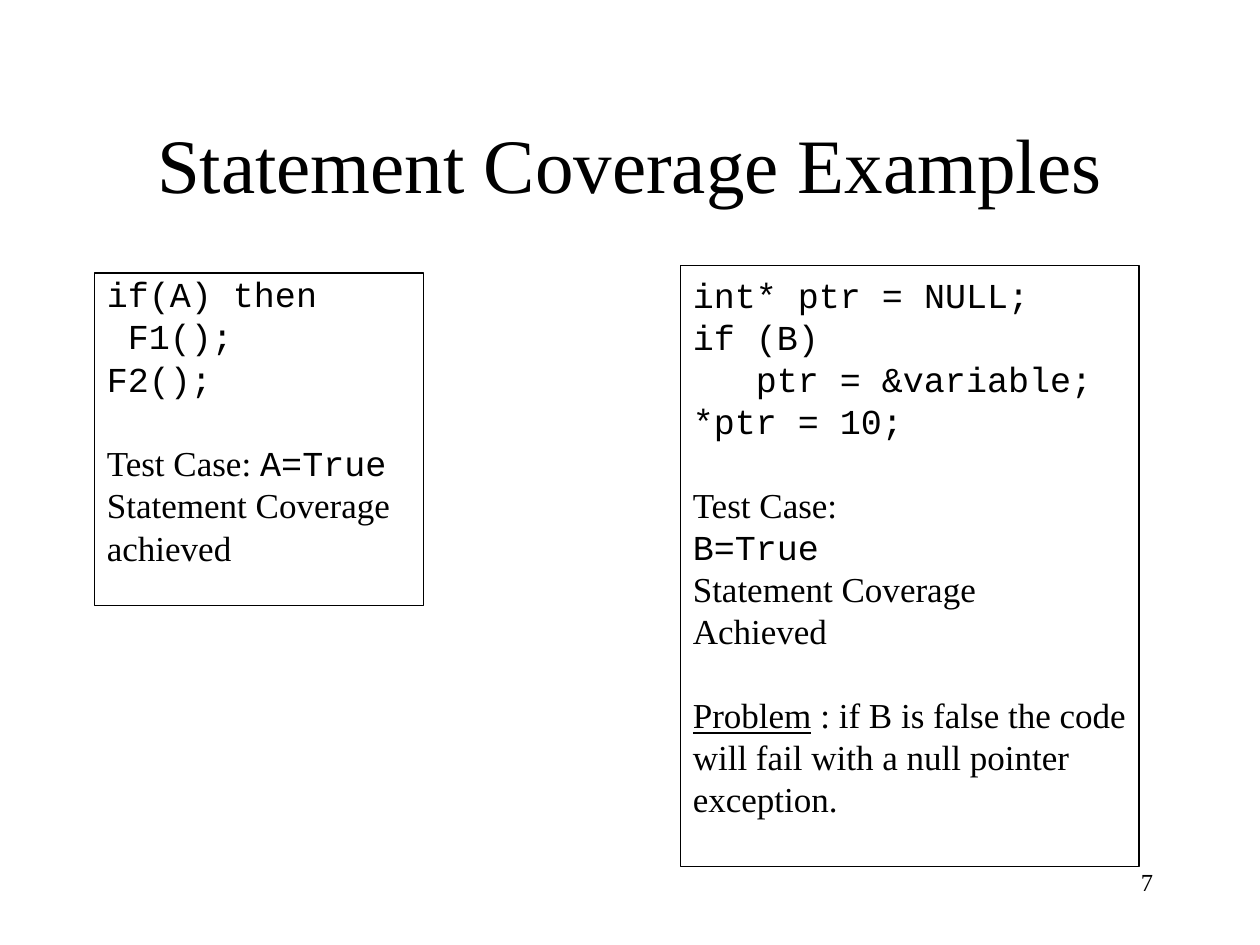
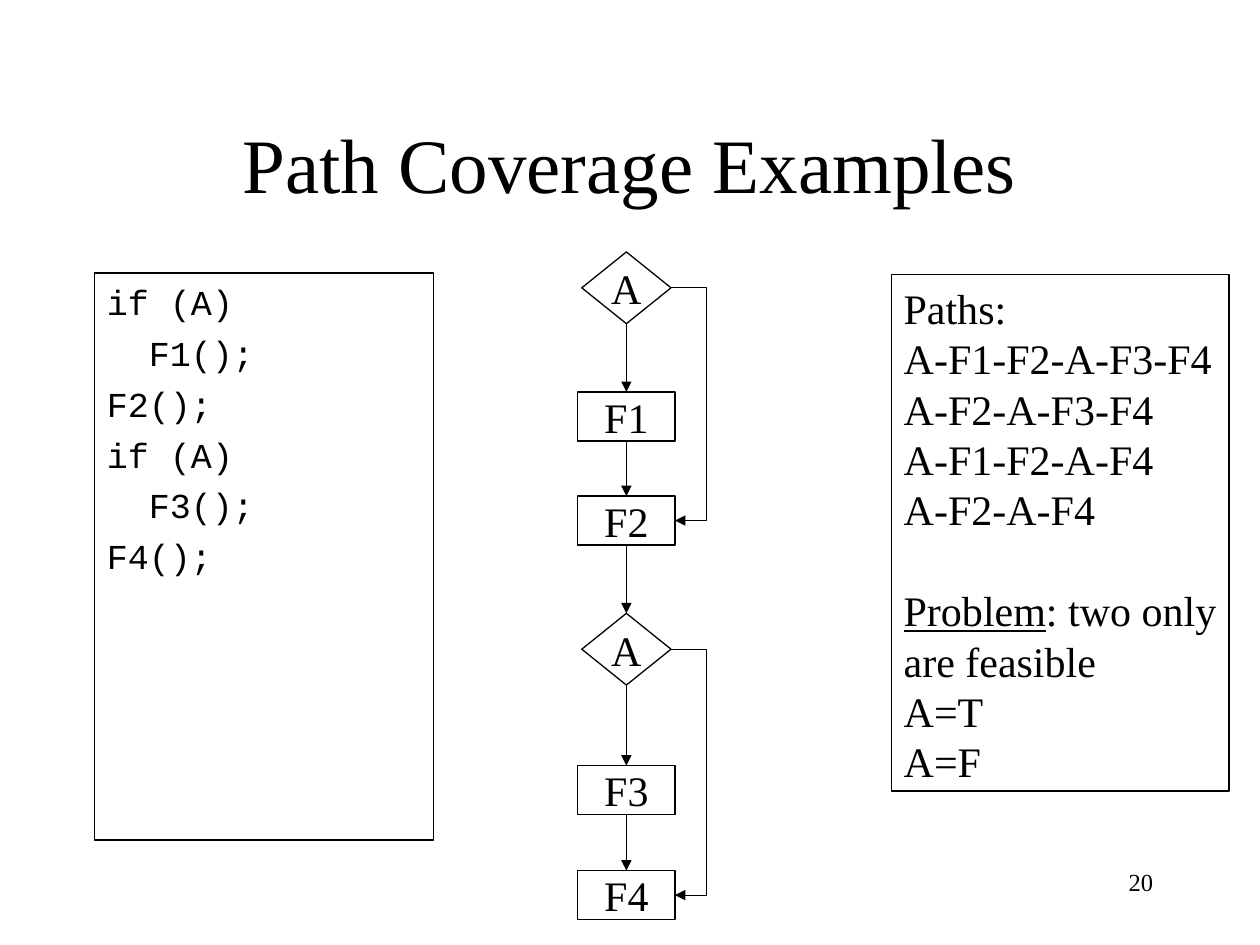
from collections import namedtuple
from itertools import pairwise

from lxml import etree
from pptx import Presentation
from pptx import util as u
from pptx.dml.color import RGBColor
from pptx.enum import shapes, text
from pptx.oxml.ns import qn

Box = namedtuple("Box", "left top width height")
Line = namedtuple("Line", "runs gap indent", defaults=(0, 0))
Node = namedtuple("Node", "label preset top width height")


class Theme:
    ink = RGBColor(0x00, 0x00, 0x00)
    paper = RGBColor(0xFF, 0xFF, 0xFF)
    stroke = 0.75
    serif, mono = "Times New Roman", "Courier New"
    title_size, path_size, code_size, number_size = 44, 24, 20, 14
    leading = 1.2
    code_space = 12
    inset = {"margin_left": 7.2, "margin_right": 0, "margin_top": 4.6, "margin_bottom": 3.6}


TITLE_BOX = Box(54, 48, 612, 90)
NUMBER_BOX = Box(516, 492, 150, 36)


def set_values(target, values):
    for name, value in values.items():
        setattr(target, name, value)


def points(box):
    return [u.Pt(value) for value in box]


def code(words, spaces=0, gap=0):
    return Line([(words, {"name": Theme.mono})], gap, spaces * Theme.code_space)


def prose(words, gap=0):
    return Line([(words, {})], gap)


def problem(rest, gap):
    return Line([("Problem", {"underline": True}), (rest, {})], gap)


def add_runs(paragraph, runs, size):
    for words, style in runs:
        run = paragraph.add_run()
        run.text = words
        set_values(run.font, {"name": Theme.serif, "size": u.Pt(size)} | style)
        run.font.color.rgb = Theme.ink


def outline(shape):
    shape.line.color.rgb = Theme.ink
    shape.line.width = u.Pt(Theme.stroke)


def add_outlined_shape(slide, preset, box):
    shape = slide.shapes.add_shape(preset, *points(box))
    shape.shadow.inherit = False
    shape.fill.background()
    outline(shape)
    return shape


def add_label(slide, box, words, size, alignment, anchor):
    """One line of text without an outline."""
    frame = slide.shapes.add_textbox(*points(box)).text_frame
    set_values(frame, {"word_wrap": True, "vertical_anchor": anchor})
    paragraph = frame.paragraphs[0]
    paragraph.alignment = alignment
    add_runs(paragraph, [(words, {})], size)


def add_panel(slide, box, lines, size, spacing=1, before=0):
    """Outlined box with one paragraph per line."""
    panel = add_outlined_shape(slide, shapes.MSO_SHAPE.RECTANGLE, box)
    frame = panel.text_frame
    set_values(frame, {name: u.Pt(value) for name, value in Theme.inset.items()})
    set_values(frame, {"word_wrap": True, "vertical_anchor": text.MSO_ANCHOR.TOP})
    for index, line in enumerate(lines):
        paragraph = frame.add_paragraph() if index else frame.paragraphs[0]
        set_values(paragraph, {
            "alignment": text.PP_ALIGN.LEFT,
            "line_spacing": u.Pt(size * Theme.leading * spacing),
            "space_before": u.Pt(before + line.gap if index else 0),
        })
        if line.indent:
            paragraph._p.get_or_add_pPr().set("marL", str(u.Pt(line.indent)))
        add_runs(paragraph, line.runs, size)


def add_arrow(slide, kind, start, start_site, end, end_site):
    """Arrow glued to two nodes; sites run 0 top, 1 left, 2 bottom, 3 right."""
    arrow = slide.shapes.add_connector(kind, 0, 0, 0, 0)
    arrow.begin_connect(start, start_site)
    arrow.end_connect(end, end_site)
    outline(arrow)
    properties = arrow._element.spPr
    etree.SubElement(properties.find(qn("a:ln")), qn("a:tailEnd"), type="triangle")
    etree.SubElement(properties, qn("a:effectLst"))
    return arrow


def add_bypass(slide, start, end, bend):
    """Elbow arrow that runs round the right side at x = bend."""
    arrow = add_arrow(slide, shapes.MSO_CONNECTOR.ELBOW, start, 3, end, 3)
    ratio = (bend - arrow.begin_x) / (arrow.end_x - arrow.begin_x)
    adjustments = arrow._element.spPr.find(qn("a:prstGeom")).find(qn("a:avLst"))
    etree.SubElement(adjustments, qn("a:gd"), name="adj1", fmla=f"val {round(ratio * 100000)}")


def add_node(slide, box, node):
    left = box.left + (box.width - node.width) / 2
    place = Box(left, box.top + node.top, node.width, node.height)
    shape = add_outlined_shape(slide, node.preset, place)
    frame = shape.text_frame
    set_values(frame, dict.fromkeys(Theme.inset, 0))
    set_values(frame, {"word_wrap": False, "vertical_anchor": text.MSO_ANCHOR.MIDDLE})
    frame.paragraphs[0].alignment = text.PP_ALIGN.CENTER
    add_runs(frame.paragraphs[0], [(node.label, {})], Theme.path_size)
    return shape


def add_flowchart(slide, box):
    def decision(label, top):
        return Node(label, shapes.MSO_SHAPE.DIAMOND, top, 51, 41)

    def step(label, top):
        return Node(label, shapes.MSO_SHAPE.RECTANGLE, top, box.width, 28)

    nodes = [
        decision("A", 0), step("F1", 80), step("F2", 139.5),
        decision("A", 206.5), step("F3", 293.5), step("F4", 353.5),
    ]
    drawn = [add_node(slide, box, node) for node in nodes]
    for upper, lower in pairwise(drawn):
        add_arrow(slide, shapes.MSO_CONNECTOR.STRAIGHT, upper, 2, lower, 0)
    # Each decision can skip the step below it
    bend = u.Pt(box.left + box.width + 18)
    for start in (0, 3):
        add_bypass(slide, drawn[start], drawn[start + 2], bend)


def add_base_slide(presentation, title, number):
    """Blank slide with the shared title and slide number."""
    slide = presentation.slides.add_slide(presentation.slide_layouts[6])
    slide.background.fill.solid()
    slide.background.fill.fore_color.rgb = Theme.paper
    add_label(slide, TITLE_BOX, title, Theme.title_size,
              text.PP_ALIGN.CENTER, text.MSO_ANCHOR.MIDDLE)
    add_label(slide, NUMBER_BOX, str(number), Theme.number_size,
              text.PP_ALIGN.RIGHT, text.MSO_ANCHOR.TOP)
    return slide


def build_statement_coverage(presentation):
    slide = add_base_slide(presentation, "Statement Coverage Examples", 7)
    # Branch example
    add_panel(slide, Box(54, 156, 188, 190), [
        code("if(A) then"),
        code("F1();", spaces=1),
        code("F2();"),
        Line([("Test Case: ", {}), ("A=True", {"name": Theme.mono})], gap=24),
        prose("Statement Coverage"),
        prose("achieved"),
    ], Theme.code_size, spacing=0.8, before=5)
    # Null pointer example
    add_panel(slide, Box(388.8, 151.8, 262, 343.4), [
        code("int* ptr = NULL;"),
        code("if (B)"),
        code("ptr = &variable;", spaces=3),
        code("*ptr = 10;"),
        prose("Test Case:", gap=24),
        code("B=True"),
        prose("Statement Coverage"),
        prose("Achieved"),
        problem(" : if B is false the code", gap=24),
        prose("will fail with a null pointer"),
        prose("exception."),
    ], Theme.code_size)


def build_path_coverage(presentation):
    slide = add_base_slide(presentation, "Path Coverage Examples", 20)
    # Program under test
    add_panel(slide, Box(54, 156, 193.7, 324), [
        code("if (A)"),
        code("F1();", spaces=2),
        code("F2();"),
        code("if (A)"),
        code("F3();", spaces=2),
        code("F4();"),
    ], Theme.code_size, before=5)
    # Control flow
    add_flowchart(slide, Box(330.2, 144, 55.5, 381.5))
    # Paths through the program
    path_names = ["A-F1-F2-A-F3-F4", "A-F2-A-F3-F4", "A-F1-F2-A-F4", "A-F2-A-F4"]
    add_panel(slide, Box(509.3, 156.7, 193, 295.3), [
        prose("Paths:"),
        *map(prose, path_names),
        problem(": two only", gap=28.8),
        prose("are feasible"),
        prose("A=T"),
        prose("A=F"),
    ], Theme.path_size)


def main():
    presentation = Presentation()
    set_values(presentation, {"slide_width": u.Pt(720), "slide_height": u.Pt(540)})
    build_statement_coverage(presentation)
    build_path_coverage(presentation)
    presentation.save("out.pptx")


if __name__ == "__main__":
    main()
